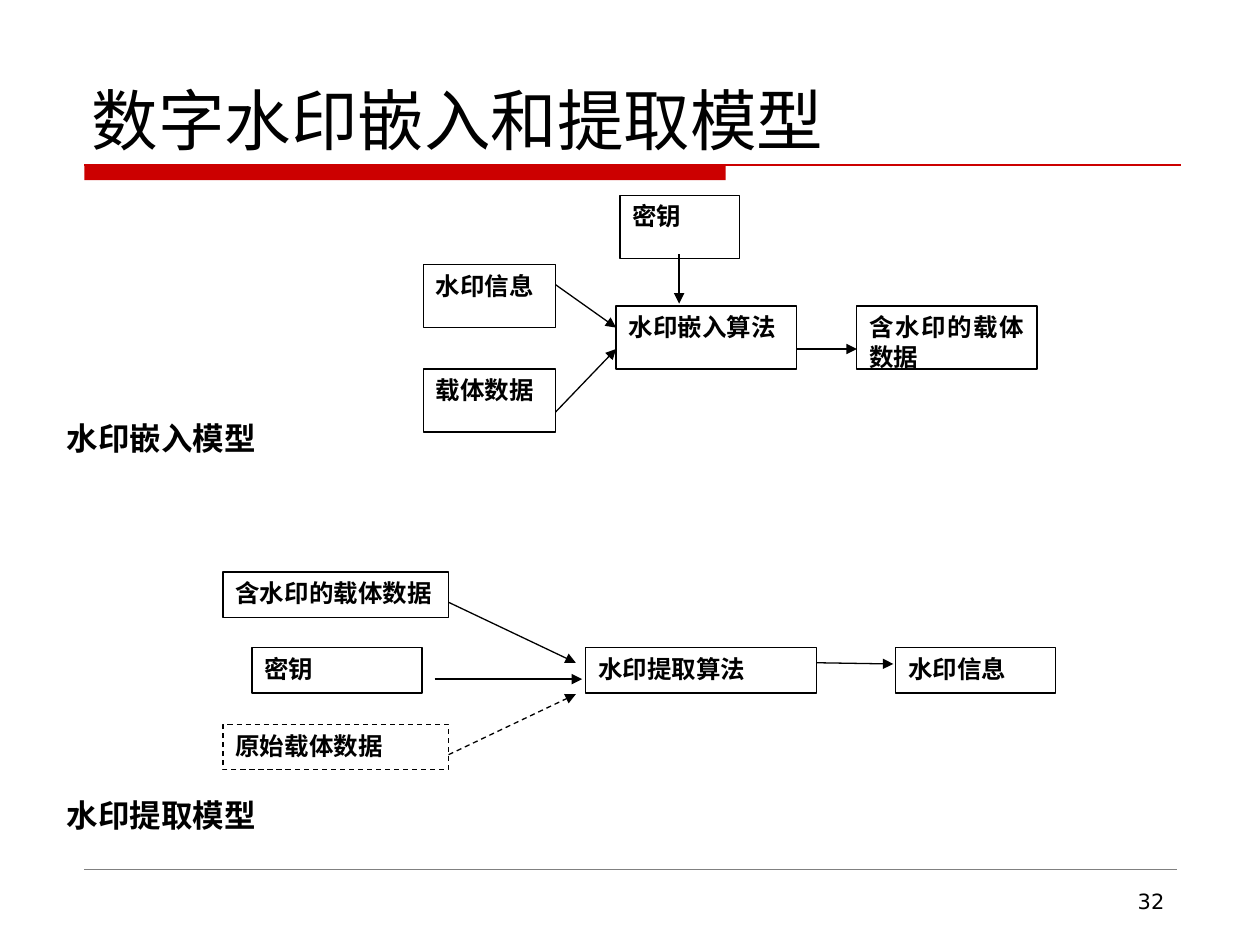
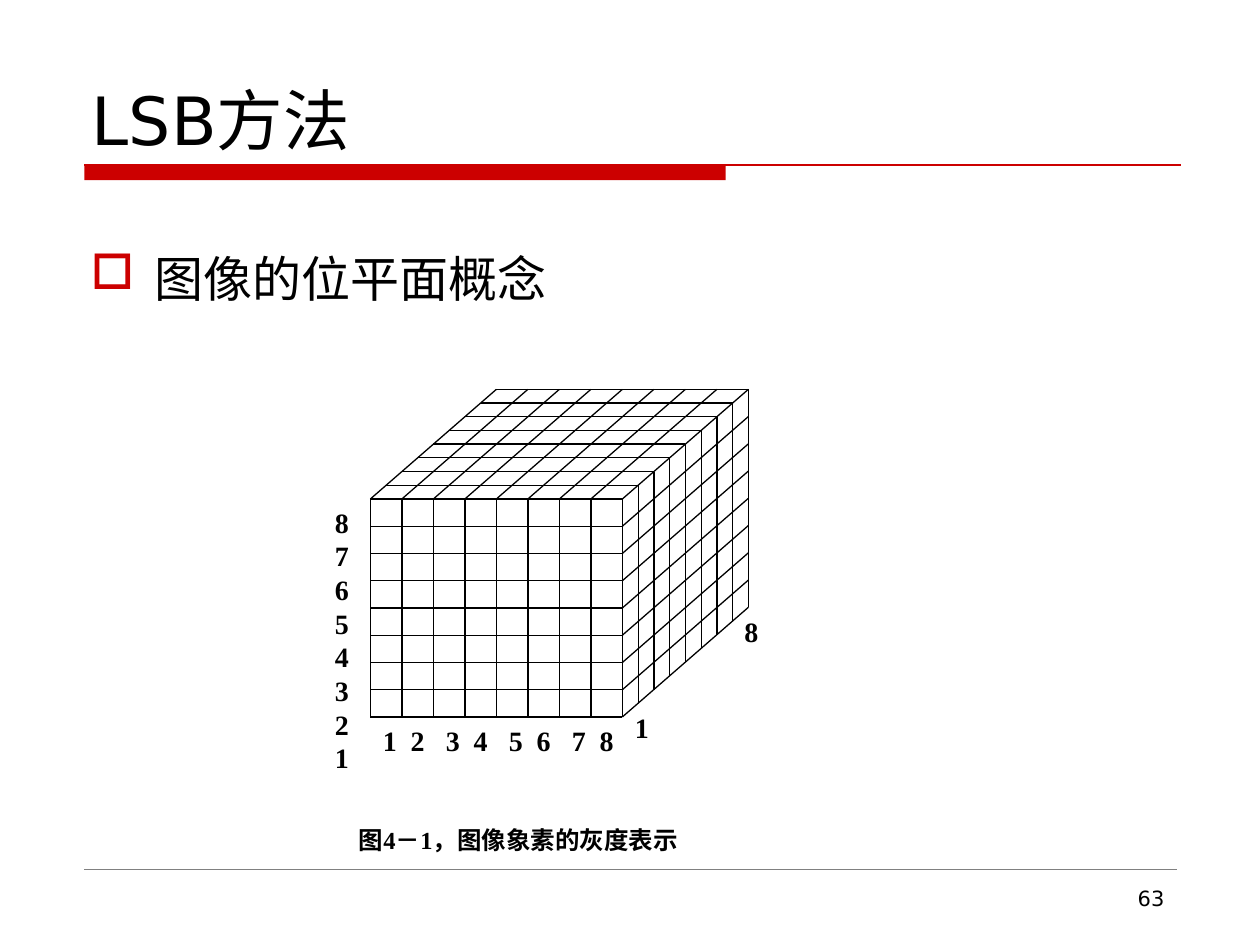
"""Build two slides on digital watermark models and image bit planes."""
import pptx
import pptx.dml.color
import pptx.enum.dml
import pptx.enum.shapes
import pptx.enum.text
import pptx.util
from pptx.oxml.ns import qn
from lxml import etree

Inches = pptx.util.Inches
Pt = pptx.util.Pt
ALIGN = pptx.enum.text.PP_ALIGN
RED, BLACK, WHITE, GRAY = "CC0000", "000000", "FFFFFF", "808080"
SANS, SERIF = "DejaVu Sans", "Times New Roman"
CELLS = 8


def color(target, value):
    """Give a font, fill or line a solid colour from a hex string."""
    if hasattr(target, "solid"):
        target.solid()
        target = target.fore_color
    else:
        target = target.color
    target.rgb = pptx.dml.color.RGBColor.from_string(value)


def style_text(text_frame, size, font, bold, align):
    """Format every paragraph and run of a text frame."""
    text_frame.word_wrap = True
    for paragraph in text_frame.paragraphs:
        paragraph.alignment = align
        for run in paragraph.runs:
            run.font.size = Pt(size)
            run.font.name = font
            run.font.bold = bold
            color(run.font, BLACK)


def add_text(slide, text, left, top, width, height, size,
             font=SANS, bold=False, align=ALIGN.LEFT):
    """Add a formatted text box and return its text frame."""
    shape = slide.shapes.add_textbox(
        Inches(left), Inches(top), Inches(width), Inches(height))
    shape.text_frame.text = text
    style_text(shape.text_frame, size, font, bold, align)
    return shape.text_frame


def add_rectangle(slide, left, top, width, height, fill):
    """Add a filled rectangle without outline or shadow."""
    shape = slide.shapes.add_shape(
        pptx.enum.shapes.MSO_SHAPE.RECTANGLE,
        Inches(left), Inches(top), Inches(width), Inches(height))
    shape.shadow.inherit = False
    color(shape.fill, fill)
    shape.line.fill.background()
    return shape


def style_line(line, value=BLACK, width=0.75, dashed=False):
    """Set the colour, width and dash of a line."""
    color(line.fill, value)
    line.width = Pt(width)
    if dashed:
        line.dash_style = pptx.enum.dml.MSO_LINE.DASH


def add_line(slide, start, end, value=BLACK, width=0.75, dashed=False):
    """Add a straight connector between two points."""
    connector = slide.shapes.add_connector(
        pptx.enum.shapes.MSO_CONNECTOR.STRAIGHT,
        *(Inches(number) for number in (*start, *end)))
    style_line(connector.line, value, width, dashed)
    etree.SubElement(connector._element.spPr, qn("a:effectLst"))
    return connector


def add_arrow(slide, start, end, dashed=False):
    """Add a connector with a triangle at its end."""
    connector = add_line(slide, start, end, dashed=dashed)
    etree.SubElement(connector.line._get_or_add_ln(), qn("a:tailEnd"), type="triangle")


def add_box(slide, text, left, top, width, height, dashed=False):
    """Add an outlined box of a flow diagram."""
    shape = add_rectangle(slide, left, top, width, height, WHITE)
    style_line(shape.line, dashed=dashed)
    shape.text_frame.text = text
    shape.text_frame.vertical_anchor = pptx.enum.text.MSO_ANCHOR.TOP
    style_text(shape.text_frame, 14, SERIF, True, ALIGN.JUSTIFY)


def add_bullet(slide, text, left, top, width, height):
    """Add a body paragraph with a hollow square bullet."""
    paragraph = add_text(slide, text, left, top, width, height, 28).paragraphs[0]
    properties = paragraph._p.get_or_add_pPr()
    properties.set("marL", str(Inches(0.51)))
    properties.set("indent", str(-Inches(0.51)))
    bullet_color = etree.SubElement(properties, qn("a:buClr"))
    etree.SubElement(bullet_color, qn("a:srgbClr"), val=RED)
    etree.SubElement(properties, qn("a:buChar"), char="□")


def add_tabs(paragraph, positions):
    """Set left tab stops on a paragraph."""
    tabs = etree.SubElement(paragraph._p.get_or_add_pPr(), qn("a:tabLst"))
    for position in positions:
        etree.SubElement(tabs, qn("a:tab"), pos=str(Inches(position)), algn="l")


def add_parallel_lines(slide, origin, span, shift, steps):
    """Repeat a line along span, moved by equal parts of shift."""
    for step in steps:
        start = [place + move * step / CELLS for place, move in zip(origin, shift)]
        add_line(slide, start, [place + length for place, length in zip(start, span)])


def add_base_slide(presentation, title, number, number_top):
    """Add a slide with title, red band, footer rule and page number."""
    slide = presentation.slides.add_slide(presentation.slide_layouts[6])
    add_rectangle(slide, 0.67, 1.31, 5.09, 0.12, RED)
    add_line(slide, (0.67, 1.31), (9.37, 1.31), RED)
    add_line(slide, (0.67, 6.9), (9.34, 6.9), GRAY, 0.25)
    add_text(slide, number, 7.17, number_top, 2.17, 0.37, 12, align=ALIGN.RIGHT)
    title_frame = add_text(slide, title, 0.63, 0.33, 8.75, 0.98, 38)
    title_frame.vertical_anchor = pptx.enum.text.MSO_ANCHOR.BOTTOM
    return slide


def add_embedding_model(slide):
    """Draw the watermark embedding flow."""
    for text, left, top, width in (
            ("密钥", 4.92, 1.55, 0.95),
            ("水印信息", 3.36, 2.1, 1.05),
            ("载体数据", 3.36, 2.93, 1.05),
            ("水印嵌入算法", 4.89, 2.43, 1.43),
            ("含水印的载体数据", 6.8, 2.43, 1.43)):
        add_box(slide, text, left, top, width, 0.5)
    for start, end in (
            ((5.39, 2.02), (5.39, 2.41)),
            ((4.41, 2.26), (4.89, 2.6)),
            ((4.41, 3.27), (4.89, 2.77)),
            ((6.32, 2.77), (6.8, 2.77))):
        add_arrow(slide, start, end)


def add_extraction_model(slide):
    """Draw the watermark extraction flow, with the optional input dashed."""
    for text, left, top, width, dashed in (
            ("含水印的载体数据", 1.77, 4.54, 1.79, False),
            ("密钥", 2, 5.14, 1.35, False),
            ("原始载体数据", 1.77, 5.75, 1.79, True),
            ("水印提取算法", 4.65, 5.14, 1.83, False),
            ("水印信息", 7.11, 5.14, 1.27, False)):
        add_box(slide, text, left, top, width, 0.36, dashed)
    for start, end, dashed in (
            ((3.56, 4.78), (4.57, 5.26), False),
            ((3.45, 5.39), (4.62, 5.39), False),
            ((3.56, 5.99), (4.57, 5.51), True),
            ((6.48, 5.26), (7.09, 5.27), False)):
        add_arrow(slide, start, end, dashed)


def add_cube(slide):
    """Draw the bit plane cube from its front, right and top faces."""
    across, up, depth = (2, 0), (0, -1.73), (1, -0.87)
    bottom_left, bottom_right, top_left = (2.94, 5.69), (4.94, 5.69), (2.94, 3.96)
    from_edge, past_edge = range(CELLS + 1), range(1, CELLS + 1)
    add_parallel_lines(slide, bottom_left, up, across, from_edge)
    add_parallel_lines(slide, bottom_left, across, up, from_edge)
    add_parallel_lines(slide, bottom_right, depth, up, from_edge)
    add_parallel_lines(slide, bottom_right, up, depth, past_edge)
    add_parallel_lines(slide, top_left, depth, across, range(CELLS))
    add_parallel_lines(slide, top_left, across, depth, past_edge)


def add_cube_labels(slide):
    """Number the three axes of the cube."""
    digits = [str(number) for number in range(1, CELLS + 1)]
    columns, rows, near, far = (
        add_text(slide, text, *place, 16, SERIF, True, align)
        for text, place, align in (
            ("\t".join(digits), (2.94, 5.69, 2.5, 0.33), ALIGN.LEFT),
            ("\n".join(reversed(digits)), (2.56, 3.96, 0.38, 1.95), ALIGN.JUSTIFY),
            (digits[0], (4.94, 5.59, 0.38, 0.33), ALIGN.JUSTIFY),
            (digits[-1], (5.81, 4.83, 0.38, 0.33), ALIGN.JUSTIFY)))
    add_tabs(columns.paragraphs[0],
             [index // 2 * 0.5 + index % 2 * 0.22 for index in range(1, CELLS)])
    for paragraph in rows.paragraphs:
        paragraph.line_spacing = Pt(19.25)


def main():
    """Build and save the presentation."""
    presentation = pptx.Presentation()
    presentation.slide_width = Inches(10)
    presentation.slide_height = Inches(7.5)

    models = add_base_slide(presentation, "数字水印嵌入和提取模型", "32", 7)
    add_embedding_model(models)
    add_extraction_model(models)
    for text, top in (("水印嵌入模型", 3.28), ("水印提取模型", 6.27)):
        add_text(models, text, 0.43, top, 2.2, 0.5, 18, bold=True)

    bit_planes = add_base_slide(presentation, "LSB方法", "63", 6.98)
    add_bullet(bit_planes, "图像的位平面概念", 0.62, 1.92, 8.75, 4.67)
    add_cube(bit_planes)
    add_cube_labels(bit_planes)
    add_text(bit_planes, "图4－1，图像象素的灰度表示", 2.75, 6.5, 3.62, 0.32,
             14, SERIF, True, ALIGN.JUSTIFY)

    presentation.save("out.pptx")


if __name__ == "__main__":
    main()
